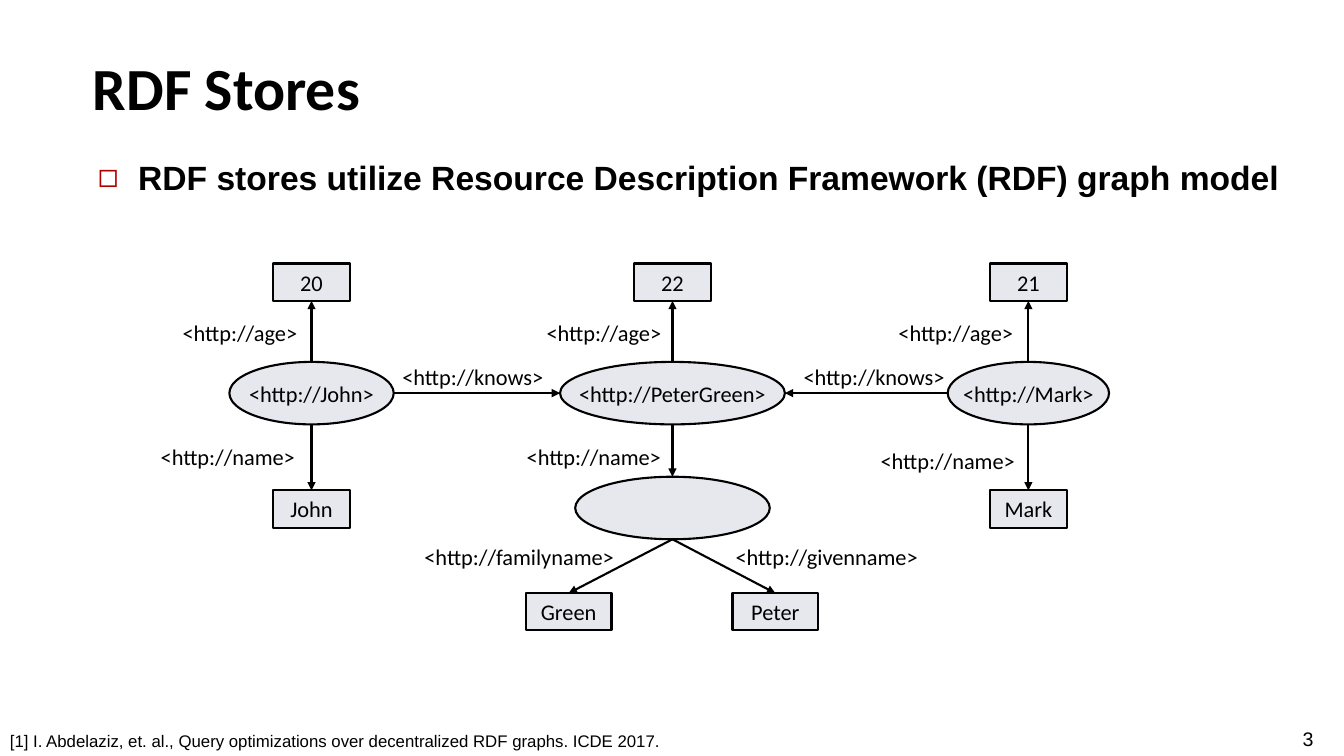
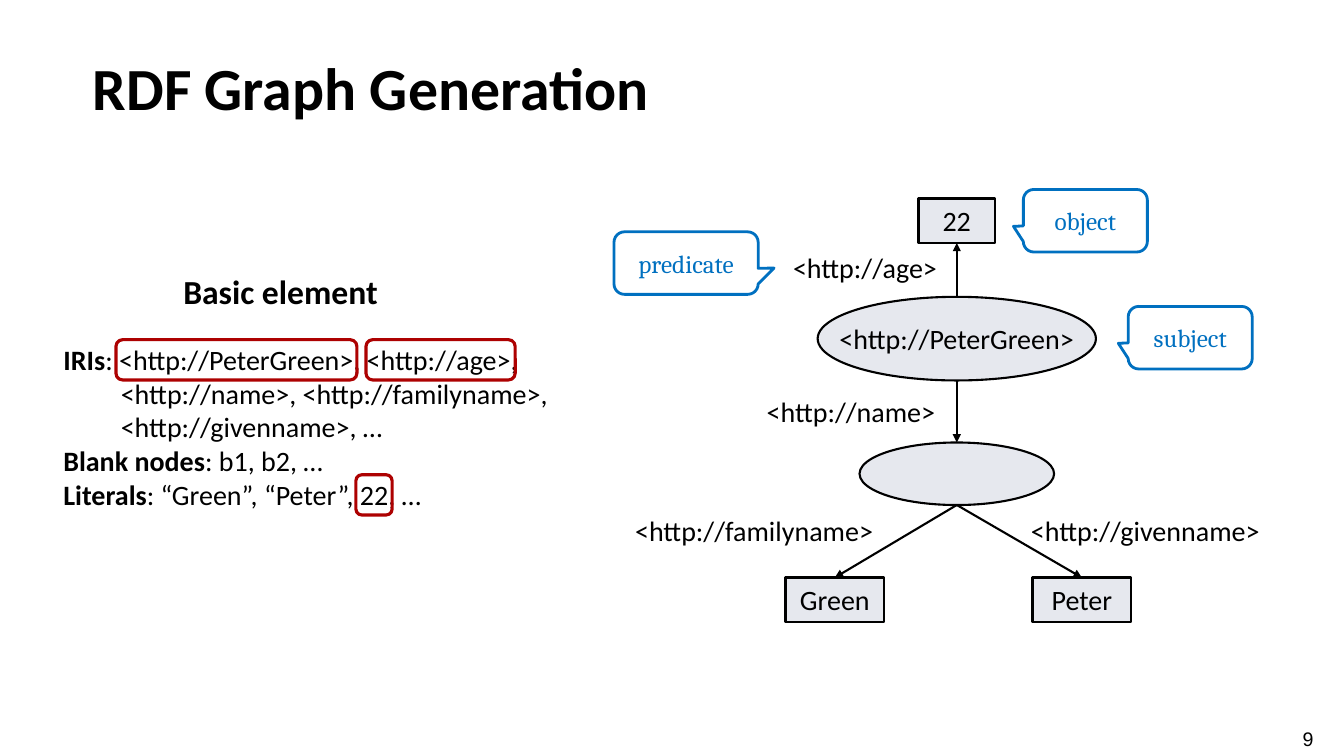
from lxml.etree import SubElement
from pptx import Presentation
from pptx.dml.color import RGBColor
from pptx.enum.shapes import MSO_CONNECTOR, MSO_SHAPE
from pptx.enum.text import MSO_ANCHOR, MSO_AUTO_SIZE, PP_ALIGN
from pptx.oxml.ns import qn
from pptx.util import Inches, Pt

BLACK = RGBColor(0x00, 0x00, 0x00)
WHITE = RGBColor(0xFF, 0xFF, 0xFF)
GREY = RGBColor(0xE6, 0xE8, 0xEE)
RED = RGBColor(0xAD, 0x01, 0x01)
BLUE = RGBColor(0x00, 0x70, 0xC0)

RECT = MSO_SHAPE.RECTANGLE
OVAL = MSO_SHAPE.OVAL
ROUND = MSO_SHAPE.ROUNDED_RECTANGLE
CALLOUT = MSO_SHAPE.ROUNDED_RECTANGULAR_CALLOUT


def write(shape, text, size=16, font="Calibri", color=BLACK, bold=False,
          align=PP_ALIGN.LEFT, anchor=MSO_ANCHOR.TOP, wrap=True):
    frame = shape.text_frame
    frame.word_wrap = wrap
    frame.auto_size = MSO_AUTO_SIZE.NONE
    frame.vertical_anchor = anchor
    for count, line in enumerate(text.split("\n")):
        para = frame.add_paragraph() if count else frame.paragraphs[0]
        para.alignment = align
        head, bar, rest = line.partition("|")
        parts = [(head, True), (rest, bold)] if bar else [(line, bold)]
        for words, heavy in parts:
            run = para.add_run()
            run.text = words
            run.font.name = font
            run.font.size = Pt(size)
            run.font.bold = heavy
            run.font.color.rgb = color
    return frame


def draw(page, kind, box, line=BLACK, width=1.5, fill=None):
    shape = page.shapes.add_shape(kind, *map(Inches, box))
    shape.shadow.inherit = False
    shape.line.color.rgb = line
    shape.line.width = Pt(width)
    if fill is None:
        shape.fill.background()
    else:
        shape.fill.solid()
        shape.fill.fore_color.rgb = fill
    return shape


MID = {"align": PP_ALIGN.CENTER, "anchor": MSO_ANCHOR.MIDDLE, "wrap": False}

JOHN, PETER, MARK = "<http://John>", "<http://PeterGreen>", "<http://Mark>"
AGE, NAME, KNOWS = "<http://age>", "<http://name>", "<http://knows>"
FAMILY, GIVEN = "<http://familyname>", "<http://givenname>"
BLANK = ""
TREE = [(PETER, "22"), (PETER, BLANK), (BLANK, "Green"), (BLANK, "Peter")]

STORES = {
    "title": "RDF Stores", "number": "3", "layout": 1, "size": 16,
    "nodes": [
        (JOHN, OVAL, 3.09, 3.9, 1.63, 0.62),
        (PETER, OVAL, 6.67, 3.9, 2.23, 0.62),
        (MARK, OVAL, 10.2, 3.9, 1.6, 0.62),
        (BLANK, OVAL, 6.67, 5.04, 1.93, 0.62),
        ("20", RECT, 3.09, 2.8, 0.76, 0.37),
        ("22", RECT, 6.67, 2.8, 0.76, 0.37),
        ("21", RECT, 10.2, 2.8, 0.76, 0.37),
        ("John", RECT, 3.09, 5.05, 0.76, 0.37),
        ("Mark", RECT, 10.2, 5.05, 0.76, 0.37),
        ("Green", RECT, 5.64, 6.07, 0.85, 0.37),
        ("Peter", RECT, 7.69, 6.07, 0.85, 0.37),
    ],
    "links": TREE + [(JOHN, "20"), (JOHN, "John"), (JOHN, PETER),
                     (MARK, "21"), (MARK, "Mark"), (MARK, PETER)],
    "labels": [
        (AGE, 2.38, 3.3), (AGE, 5.99, 3.3), (AGE, 9.48, 3.3),
        (KNOWS, 4.69, 3.74), (KNOWS, 8.67, 3.74),
        (NAME, 2.26, 4.53), (NAME, 5.89, 4.53), (NAME, 9.4, 4.57),
        (FAMILY, 5.15, 5.52), (GIVEN, 8.2, 5.52),
    ],
}
GRAPH = {
    "title": "RDF Graph Generation", "number": "9", "layout": 5, "size": 20,
    "nodes": [
        (PETER, OVAL, 9.49, 3.36, 2.76, 0.83),
        (BLANK, OVAL, 9.49, 4.7, 1.93, 0.62),
        ("22", RECT, 9.49, 2.19, 0.76, 0.44),
        ("Green", RECT, 8.28, 5.95, 0.98, 0.44),
        ("Peter", RECT, 10.73, 5.95, 0.98, 0.44),
    ],
    "links": TREE,
    "labels": [(AGE, 8.58, 2.65), (NAME, 8.44, 4.08),
               (FAMILY, 7.48, 5.26), (GIVEN, 11.36, 5.26)],
}

deck = Presentation()
deck.slide_width = Inches(13.33)
deck.slide_height = Inches(7.5)

pages = []
for plan in (STORES, GRAPH):
    page = deck.slides.add_slide(deck.slide_layouts[plan["layout"]])
    pages.append(page)
    title = page.shapes.title
    title.left, title.top, title.width, title.height = map(Inches, (0.82, 0.34, 11.84, 0.93))
    frame = write(title, plan["title"], size=42.7, bold=True, anchor=MSO_ANCHOR.BOTTOM)
    frame.paragraphs[0].line_spacing = Pt(46.7)
    number = page.shapes.add_textbox(*map(Inches, (12.82, 7.16, 0.48, 0.34)))
    write(number, plan["number"], size=14, font="Arial")

    spots = {}
    for text, kind, x, y, wide, high in plan["nodes"]:
        spots[text] = x, y, wide, high
        node = draw(page, kind, (x - wide / 2, y - high / 2, wide, high), fill=GREY)
        if text:
            write(node, text, size=plan["size"], **MID)

    for start, end in plan["links"]:
        x1, y1, w1, h1 = spots[start]
        x2, y2, w2, h2 = spots[end]
        if y1 == y2:
            side = 1 if x2 > x1 else -1
            x1, x2 = x1 + side * w1 / 2, x2 - side * w2 / 2
        else:
            side = 1 if y2 > y1 else -1
            y1, y2 = y1 + side * h1 / 2, y2 - side * h2 / 2
        link = page.shapes.add_connector(MSO_CONNECTOR.STRAIGHT, *map(Inches, (x1, y1, x2, y2)))
        link.line.color.rgb = BLACK
        link.line.width = Pt(1.5)
        SubElement(link.line._get_or_add_ln(), qn("a:tailEnd"), type="triangle")
        SubElement(link._element.spPr, qn("a:effectLst"))

    for text, x, y in plan["labels"]:
        label = page.shapes.add_textbox(*map(Inches, (x - 1.3, y - 0.2, 2.6, 0.4)))
        write(label, text, size=plan["size"], **MID)

stores, graph = pages

body = stores.placeholders[1]
body.left, body.top, body.width, body.height = map(Inches, (0.87, 1.51, 12.22, 0.5))
frame = write(body, "RDF stores utilize Resource Description Framework (RDF) graph model",
              size=24, font="Arial", bold=True)
props = frame.paragraphs[0]._p.get_or_add_pPr()
props.set("marL", str(Inches(0.4)))
props.set("indent", str(Inches(-0.4)))
SubElement(SubElement(props, qn("a:buClr")), qn("a:srgbClr"), val=str(RED))
SubElement(props, qn("a:buChar"), char="◻")

note = stores.shapes.add_textbox(*map(Inches, (0, 7.2, 13.33, 0.3)))
write(note, "[1] I. Abdelaziz, et. al., Query optimizations over decentralized RDF graphs. ICDE 2017.",
      size=12, font="Arial")

heading = graph.shapes.add_textbox(*map(Inches, (1.72, 2.64, 2.44, 0.5)))
write(heading, "Basic element", size=24, bold=True)

terms = graph.shapes.add_textbox(*map(Inches, (0.53, 3.35, 5.47, 1.78)))
frame = write(terms, "IRIs|: <http://PeterGreen>, <http://age>,\n"
              "<http://name>, <http://familyname>,\n"
              "<http://givenname>, …\n"
              "Blank nodes|: b1, b2, …\n"
              "Literals|: “Green”, “Peter”, 22, …", size=20)
for para in frame.paragraphs[1:3]:
    para._p.get_or_add_pPr().set("marL", str(Inches(0.57)))

for box in ((1.15, 3.37, 2.39, 0.4), (3.63, 3.37, 1.48, 0.4), (3.53, 4.71, 0.36, 0.4)):
    draw(graph, ROUND, box, line=RED, width=2.25)

for text, x, y, wide, tip in (("subject", 11.19, 3.04, 1.23, (-0.58, 0.09)),
                              ("object", 10.15, 1.88, 1.23, (-0.58, 0.09)),
                              ("predicate", 6.09, 2.3, 1.43, (0.61, 0.08))):
    bubble = draw(graph, CALLOUT, (x, y, wide, 0.62), line=BLUE, width=2, fill=WHITE)
    bubble.adjustments[0], bubble.adjustments[1] = tip
    write(bubble, text, size=18, font="Cambria", color=BLUE, **MID)

deck.save("out.pptx")
